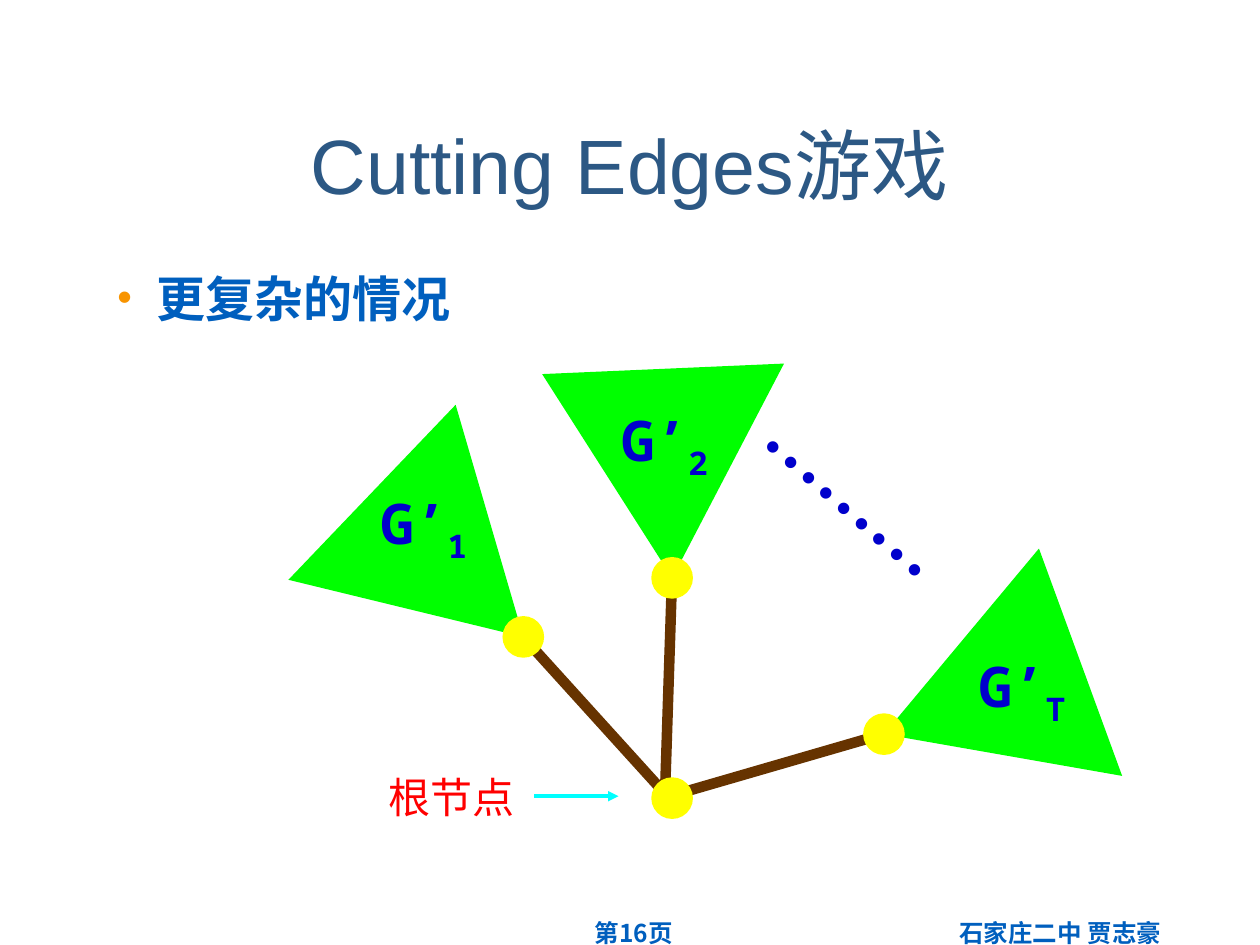
import math

import lxml.etree
import pptx
import pptx.dml.color
import pptx.enum.shapes
import pptx.enum.text
import pptx.oxml.ns
import pptx.util

Cm = pptx.util.Cm
Pt = pptx.util.Pt
RGBColor = pptx.dml.color.RGBColor
Shape = pptx.enum.shapes.MSO_SHAPE
Align = pptx.enum.text.PP_ALIGN
AutoSize = pptx.enum.text.MSO_AUTO_SIZE
qn = pptx.oxml.ns.qn

SLATE = RGBColor(0x2C, 0x58, 0x84)
BLUE = RGBColor(0x00, 0x5F, 0xBE)
NAVY = RGBColor(0x00, 0x00, 0xCC)
ORANGE = RGBColor(0xF8, 0x94, 0x00)
GREEN = RGBColor(0x00, 0xFF, 0x00)
YELLOW = RGBColor(0xFF, 0xFF, 0x00)
BROWN = RGBColor(0x66, 0x33, 0x00)
CYAN = RGBColor(0x00, 0xFF, 0xFF)
RED = RGBColor(0xFF, 0x00, 0x00)

NODE_SIZE = 0.84
TREE_WIDTH, TREE_HEIGHT = 4.88, 4.22
ROOT = (13.55, 16.09)


def write(para, text, *, size, color, font="Arial", bold=False, sub=False):
    """Add one formatted span of text to a paragraph."""
    span = para.add_run()
    span.text = text
    span.font.name = font
    span.font.size = Pt(size)
    span.font.bold = bold
    span.font.color.rgb = color
    if sub:
        span.font._element.set("baseline", "-25000")


class SlideBuilder:
    """Holds the style and the current slide; lengths are centimetres."""

    def __init__(self, deck):
        self.page = deck.slides.add_slide(deck.slide_layouts[1])
        self.label_style = dict(size=32, color=NAVY, font="Noto Sans Mono", bold=True)

    def placeholder(self, index, left, top, width, height):
        box = self.page.placeholders[index]
        box.left, box.top, box.width, box.height = map(Cm, (left, top, width, height))
        box.text_frame.auto_size = AutoSize.NONE
        return box.text_frame.paragraphs[0]

    def title(self, text):
        para = self.placeholder(0, 0.84, 1.7, 23.72, 3.18)
        para.alignment = Align.CENTER
        write(para, text, size=44, color=SLATE)

    def bullet(self, text):
        para = self.placeholder(1, 0.84, 5.28, 23.72, 11.66)
        para.level = 1
        para.space_before = Pt(0)
        props = para._p.get_or_add_pPr()
        props.set("marL", str(Cm(2.06)))
        props.set("indent", str(Cm(-0.79)))
        color = lxml.etree.SubElement(props, qn("a:buClr"))
        lxml.etree.SubElement(color, qn("a:srgbClr"), val=str(ORANGE))
        lxml.etree.SubElement(props, qn("a:buSzPct"), val="85000")
        lxml.etree.SubElement(props, qn("a:buFont"), typeface="Arial")
        lxml.etree.SubElement(props, qn("a:buChar"), char="•")
        write(para, text, size=28, color=BLUE, bold=True)

    def text(self, left, top, width, height, text, align=Align.LEFT, angle=0, **style):
        box = self.page.shapes.add_textbox(*map(Cm, (left, top, width, height)))
        box.rotation = angle
        box.text_frame.word_wrap = True
        para = box.text_frame.paragraphs[0]
        para.alignment = align
        write(para, text, **style)
        return para

    def label(self, left, top, index):
        para = self.text(left, top, 3.18, 1.8, "G’", **self.label_style)
        write(para, index, sub=True, **self.label_style)

    def shape(self, kind, center, width, height, color, angle=0, group=None):
        left, top = center[0] - width / 2, center[1] - height / 2
        shape = (group or self.page).shapes.add_shape(
            kind, *map(Cm, (left, top, width, height)))
        shape.rotation = angle
        shape.shadow.inherit = False
        shape.fill.solid()
        shape.fill.fore_color.rgb = color
        shape.line.fill.background()

    def node(self, center, group=None):
        self.shape(Shape.OVAL, center, NODE_SIZE, NODE_SIZE, YELLOW, group=group)

    def line(self, start, end, color, width, arrow=False, group=None):
        line = (group or self.page).shapes.add_connector(
            pptx.enum.shapes.MSO_CONNECTOR.STRAIGHT, *map(Cm, (*start, *end)))
        line.line.color.rgb = color
        line.line.width = Pt(width)
        if arrow:
            lxml.etree.SubElement(line.line._get_or_add_ln(), qn("a:tailEnd"), type="triangle")
        lxml.etree.SubElement(line._element.spPr, qn("a:effectLst"))

    def branch(self, node, angle, edge_start, edge_end):
        """Draw an edge to the root and a subtree whose tip sits on the node."""
        group = self.page.shapes.add_group_shape()
        turn = math.radians(angle)
        center = (node[0] - math.sin(turn) * TREE_HEIGHT / 2,
                  node[1] + math.cos(turn) * TREE_HEIGHT / 2)
        self.line(edge_start, edge_end, BROWN, 6, group=group)
        self.shape(Shape.ISOSCELES_TRIANGLE, center, TREE_WIDTH, TREE_HEIGHT,
                   GREEN, angle, group)
        self.node(node, group)


def main():
    deck = pptx.Presentation()
    deck.slide_width, deck.slide_height = Cm(25.4), Cm(19.05)
    slide = SlideBuilder(deck)

    # Title, list and footer
    slide.title("Cutting Edges游戏")
    slide.bullet("更复杂的情况")
    footer = dict(align=Align.CENTER, size=14, color=BLUE, bold=True)
    slide.text(17.35, 18.39, 8.05, 1.32, "石家庄二中 贾志豪", **footer)
    slide.text(9.6, 18.39, 6.35, 1.32, "第16页", font="Noto Sans CJK KR", **footer)

    # Branches: node, angle of the subtree, ends of the edge
    slide.branch((10.55, 12.84), 133.7, (10.69, 13), (13.39, 15.98))
    slide.branch((13.55, 11.65), 177.5, (13.54, 11.86), (13.41, 15.88))
    slide.branch((17.82, 14.8), 249.9, (17.6, 14.86), (13.74, 15.98))

    # Subtree names and the dots between them
    slide.label(7.42, 9.73, "1")
    slide.label(12.27, 8.05, "2")
    slide.label(19.48, 13, "T")
    slide.text(14.81, 9.32, 5.92, 1.96, "………", angle=40.8, size=40,
               color=NAVY, font="Times New Roman", bold=True)

    # Root node with its pointer
    slide.text(7.59, 15.42, 3.18, 1.27, "根节点", size=24, color=RED, font="Times New Roman")
    slide.line((10.77, 16.05), (12.47, 16.05), CYAN, 2, arrow=True)
    slide.node(ROOT)

    deck.save("out.pptx")


if __name__ == "__main__":
    main()
